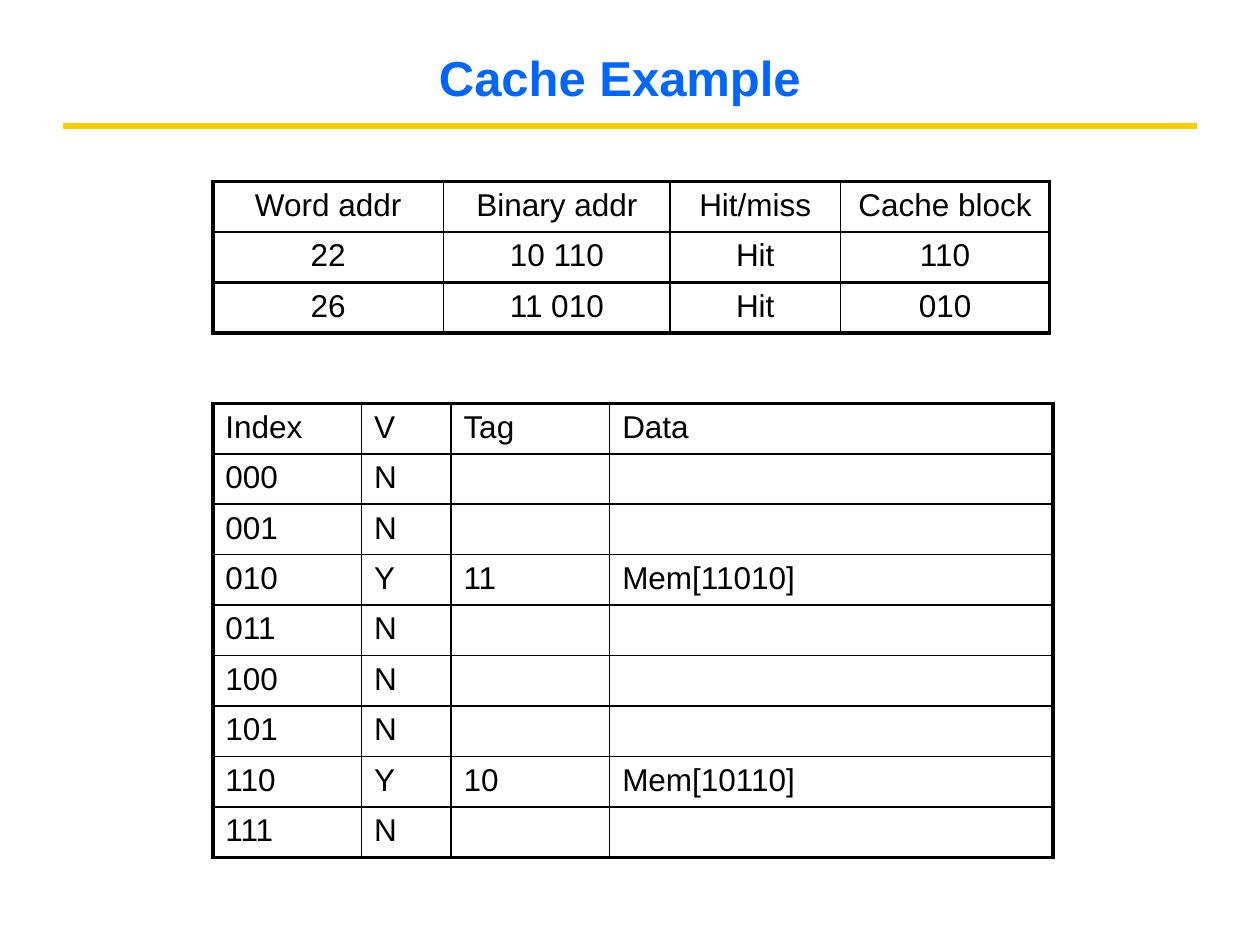
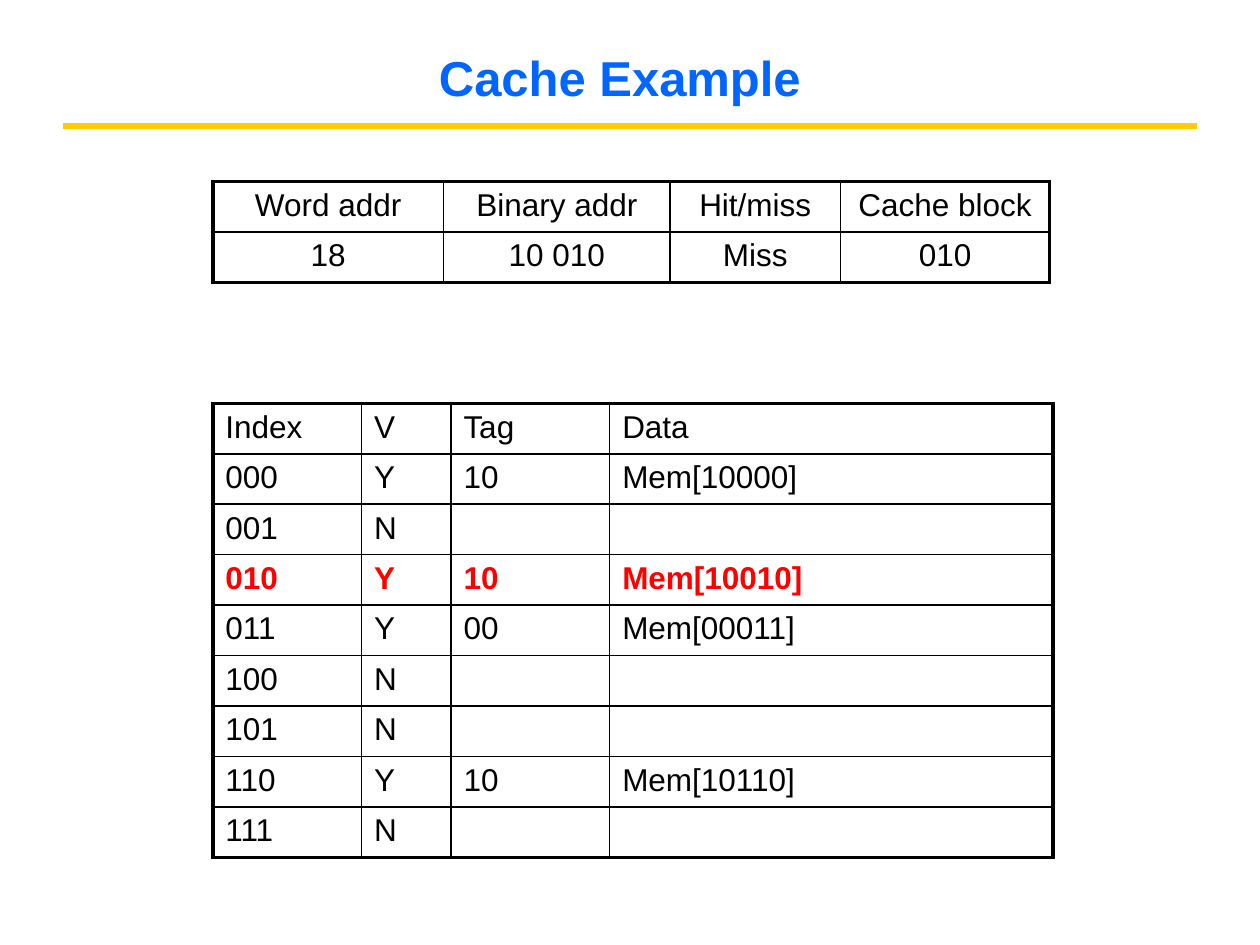
from dataclasses import dataclass
from lxml.etree import SubElement
from pptx import Presentation
from pptx.dml.color import RGBColor
from pptx.enum.shapes import MSO_CONNECTOR
from pptx.enum.text import MSO_ANCHOR, PP_ALIGN
from pptx.oxml import parse_xml
from pptx.oxml.ns import nsdecls, qn
from pptx.util import Cm, Pt


@dataclass(frozen=True)
class Theme:
    font: str = "Arial"
    title_color: RGBColor = RGBColor(0x00, 0x66, 0xFF)
    rule_color: RGBColor = RGBColor(0xFF, 0xCC, 0x00)
    text_color: RGBColor = RGBColor(0x00, 0x00, 0x00)
    changed_color: RGBColor = RGBColor(0xFF, 0x00, 0x00)
    title_size: Pt = Pt(28)
    table_size: Pt = Pt(18)
    rule_width: Pt = Pt(3)
    outer_border: float = 2.25
    header_border: float = 1.5
    inner_border: float = 1


theme = Theme()
TABLE_LEFT = 4.29
ROW_HEIGHT = 1.016
LOOKUP_HEADER = ("Word addr", "Binary addr", "Hit/miss", "Cache block")
CACHE_HEADER = ("Index", "V", "Tag", "Data")


def style_paragraph(paragraph, size, color, alignment, bold):
    paragraph.alignment = alignment
    paragraph.font.name = theme.font
    paragraph.font.size = size
    paragraph.font.bold = bold
    paragraph.font.color.rgb = color


def add_grid(slide, top, widths, rows, alignment, row_border, changed_index=None):
    last_row, last_column = len(rows) - 1, len(widths) - 1
    table = slide.shapes.add_table(
        len(rows), len(widths), Cm(TABLE_LEFT), Cm(top),
        Cm(sum(widths)), Cm(ROW_HEIGHT * len(rows))).table
    table.first_row = table.horz_banding = False
    for column, width in zip(table.columns, widths):
        column.width = Cm(width)

    # Horizontal and vertical border widths, from edge to edge
    horizontal = [theme.outer_border, theme.header_border]
    horizontal += [row_border] * (last_row - 1) + [theme.outer_border]
    vertical = [theme.outer_border] + [theme.inner_border] * last_column + [theme.outer_border]

    for row, values in enumerate(rows):
        table.rows[row].height = Cm(ROW_HEIGHT)
        changed = values[0] == changed_index
        for column, value in enumerate(values):
            cell = table.cell(row, column)
            cell.text = value
            cell.fill.background()
            color = theme.changed_color if changed else theme.text_color
            style_paragraph(cell.text_frame.paragraphs[0], theme.table_size,
                            color, alignment, changed)
            borders = (("lnL", vertical[column]), ("lnR", vertical[column + 1]),
                       ("lnT", horizontal[row]), ("lnB", horizontal[row + 1]))
            properties = cell._tc.get_or_add_tcPr()
            for position, (side, width) in enumerate(borders):
                properties.insert(position, parse_xml(
                    f'<a:{side} {nsdecls("a")} w="{Pt(width)}"><a:solidFill>'
                    f'<a:srgbClr val="{theme.text_color}"/></a:solidFill></a:{side}>'))


# Lookups, valid cache blocks and the block just replaced, per slide
steps = [
    ([("22", "10 110", "Hit", "110"), ("26", "11 010", "Hit", "010")],
     {"010": ("11", "Mem[11010]"), "110": ("10", "Mem[10110]")}, None),
    ([("18", "10 010", "Miss", "010")],
     {"000": ("10", "Mem[10000]"), "010": ("10", "Mem[10010]"),
      "011": ("00", "Mem[00011]"), "110": ("10", "Mem[10110]")}, "010"),
]

presentation = Presentation()
presentation.slide_width, presentation.slide_height = Cm(25.4), Cm(19.05)

for lookups, valid_blocks, changed_index in steps:
    slide = presentation.slides.add_slide(presentation.slide_layouts[6])

    # Rule under the title
    rule = slide.shapes.add_connector(
        MSO_CONNECTOR.STRAIGHT, Cm(1.27), Cm(2.54), Cm(24.13), Cm(2.54))
    rule.line.color.rgb = theme.rule_color
    rule.line.width = theme.rule_width
    SubElement(rule._element.spPr, qn("a:effectLst"))

    # Title
    title = slide.shapes.add_textbox(Cm(0.43), Cm(0.76), Cm(24.13), Cm(1.57))
    title.text_frame.word_wrap = True
    title.text_frame.vertical_anchor = MSO_ANCHOR.MIDDLE
    title.text_frame.text = "Cache Example"
    style_paragraph(title.text_frame.paragraphs[0], theme.title_size,
                    theme.title_color, PP_ALIGN.CENTER, True)

    # Cache contents
    cache_rows = [CACHE_HEADER]
    for number in range(8):
        index = f"{number:03b}"
        valid = "Y" if index in valid_blocks else "N"
        cache_rows.append((index, valid, *valid_blocks.get(index, ("", ""))))
    add_grid(slide, 8.13, (3, 1.8, 3.2, 8.94), cache_rows,
             PP_ALIGN.LEFT, theme.inner_border, changed_index)

    # Address lookups
    add_grid(slide, 3.66, (4.65, 4.57, 3.43, 4.22), [LOOKUP_HEADER, *lookups],
             PP_ALIGN.CENTER, theme.header_border)

presentation.save("out.pptx")
